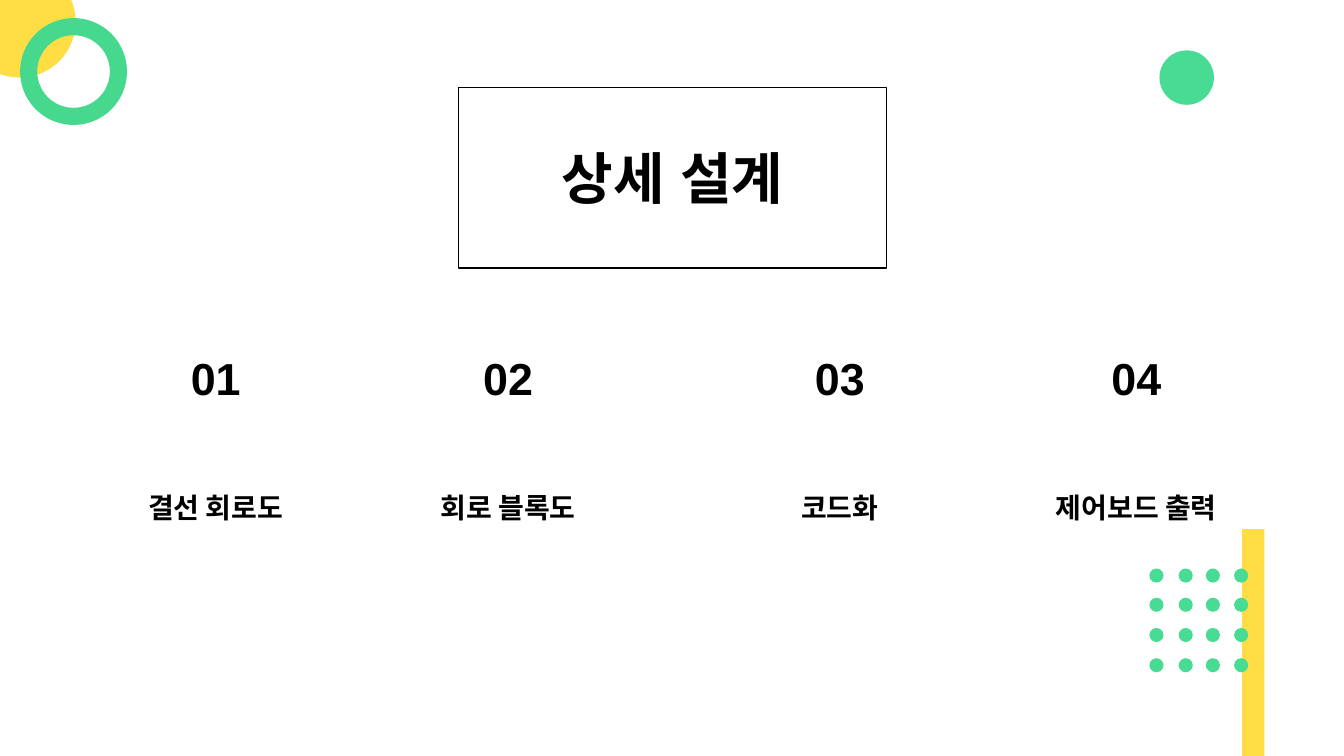
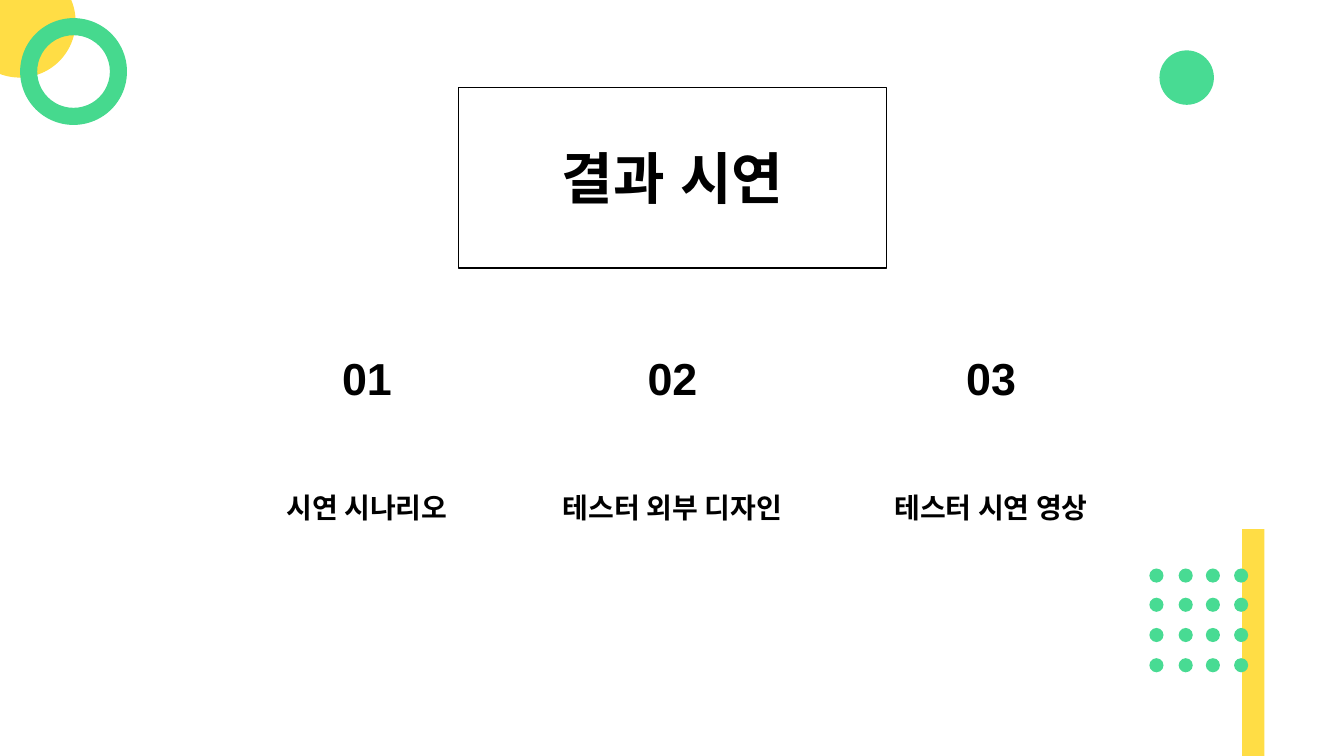
from dataclasses import dataclass
from itertools import product

from lxml import etree
from pptx import Presentation
from pptx.dml.color import RGBColor
from pptx.enum.shapes import MSO_SHAPE
from pptx.enum.text import MSO_ANCHOR, MSO_AUTO_SIZE, PP_ALIGN
from pptx.oxml.ns import qn
from pptx.shapes.autoshape import Shape
from pptx.slide import Slide
from pptx.util import Inches, Pt

RECTANGLE = MSO_SHAPE.RECTANGLE
OVAL = MSO_SHAPE.OVAL
DONUT = MSO_SHAPE.DONUT
TOP = MSO_ANCHOR.TOP
NO_AUTOFIT = MSO_AUTO_SIZE.NONE
CENTER = PP_ALIGN.CENTER


@dataclass(frozen=True)
class Theme:
    ink: RGBColor = RGBColor(0x00, 0x00, 0x00)
    yellow: RGBColor = RGBColor(0xFF, 0xDD, 0x45)
    green: RGBColor = RGBColor(0x48, 0xDB, 0x93)
    ring_green: RGBColor = RGBColor(0x46, 0xD9, 0x8E)
    latin_font: str = "Arial"
    korean_font: str = "Noto Sans CJK KR"
    title_size: int = 40
    number_size: int = 32
    label_size: int = 20


@dataclass(frozen=True)
class Area:
    left: float
    top: float
    width: float
    height: float


@dataclass(frozen=True)
class Decoration:
    preset: MSO_SHAPE
    area: Area
    color: RGBColor


@dataclass(frozen=True)
class Topic:
    center: float
    label: str
    label_width: float = 2.43


@dataclass(frozen=True)
class Section:
    title: str
    topics: tuple[Topic, ...]


THEME = Theme()
TITLE_AREA = Area(4.33, 1.37, 4.68, 1.49)
FRAME_AREA = Area(4.55, 0.87, 4.24, 1.79)
NUMBER_TOP, NUMBER_WIDTH, NUMBER_HEIGHT = 3.43, 0.83, 0.64
LABEL_TOP, LABEL_HEIGHT = 4.77, 0.54
DOT_COLUMNS = (11.4, 11.69, 11.96, 12.24)
DOT_ROWS = (5.64, 5.93, 6.23, 6.53)
DOT_SIZE = 0.14
RING_THICKNESS = 0.16

DECORATIONS = (
    Decoration(RECTANGLE, Area(12.32, 5.25, 0.22, 2.25), THEME.yellow),
    Decoration(OVAL, Area(-0.36, -0.34, 1.11, 1.11), THEME.yellow),
    Decoration(OVAL, Area(11.5, 0.5, 0.54, 0.54), THEME.green),
    *(
        Decoration(OVAL, Area(left, top, DOT_SIZE, DOT_SIZE), THEME.green)
        for top, left in product(DOT_ROWS, DOT_COLUMNS)
    ),
    Decoration(DONUT, Area(0.2, 0.18, 1.06, 1.06), THEME.ring_green),
)

SECTIONS = (
    Section("상세 설계", (
        Topic(2.14, "결선 회로도"),
        Topic(5.04, "회로 블록도"),
        Topic(8.33, "코드화"),
        Topic(11.27, "제어보드 출력"),
    )),
    Section("결과 시연", (
        Topic(3.64, "시연 시나리오"),
        Topic(6.67, "테스터 외부 디자인", 2.63),
        Topic(9.83, "테스터 시연 영상"),
    )),
)


def edges(area: Area) -> tuple[Inches, Inches, Inches, Inches]:
    return Inches(area.left), Inches(area.top), Inches(area.width), Inches(area.height)


def add_plain_shape(page: Slide, preset: MSO_SHAPE, area: Area) -> Shape:
    shape = page.shapes.add_shape(preset, *edges(area))
    shape.shadow.inherit = False
    return shape


def add_decoration(page: Slide, decoration: Decoration) -> None:
    shape = add_plain_shape(page, decoration.preset, decoration.area)
    shape.fill.solid()
    shape.fill.fore_color.rgb = decoration.color
    shape.line.fill.background()
    if decoration.preset == DONUT:
        shape.adjustments[0] = RING_THICKNESS


def add_frame(page: Slide) -> None:
    frame = add_plain_shape(page, RECTANGLE, FRAME_AREA)
    frame.fill.background()
    frame.line.color.rgb = THEME.ink
    frame.line.width = Pt(1)


def write_text(box: Shape, text: str, size: int, font: str, inset: float = 0.05) -> None:
    frame_format = {
        "word_wrap": True,
        "auto_size": NO_AUTOFIT,
        "vertical_anchor": TOP,
        "margin_left": Inches(0.1),
        "margin_right": Inches(0.1),
        "margin_top": Inches(inset),
        "margin_bottom": Inches(inset),
    }
    for name, value in frame_format.items():
        setattr(box.text_frame, name, value)
    para = box.text_frame.paragraphs[0]
    para.alignment = CENTER
    span = para.add_run()
    span.text = text
    for name, value in {"name": font, "size": Pt(size), "bold": True}.items():
        setattr(span.font, name, value)
    span.font.color.rgb = THEME.ink
    east_asian = etree.SubElement(span.font._element, qn("a:ea"))
    east_asian.set("typeface", font)


def add_title(page: Slide, title: str) -> None:
    box = page.shapes.title
    box.left, box.top, box.width, box.height = edges(TITLE_AREA)
    write_text(box, title, THEME.title_size, THEME.latin_font)


def add_topic(page: Slide, number: int, topic: Topic) -> None:
    number_area = Area(topic.center - NUMBER_WIDTH / 2, NUMBER_TOP, NUMBER_WIDTH, NUMBER_HEIGHT)
    number_box = page.shapes.add_textbox(*edges(number_area))
    write_text(number_box, f"{number:02}", THEME.number_size, THEME.latin_font)
    label_area = Area(topic.center - topic.label_width / 2, LABEL_TOP, topic.label_width, LABEL_HEIGHT)
    label_box = page.shapes.add_textbox(*edges(label_area))
    write_text(label_box, topic.label, THEME.label_size, THEME.korean_font, inset=0.1)


def main() -> None:
    deck = Presentation()
    deck.slide_width, deck.slide_height = Inches(13.33), Inches(7.5)
    title_only = deck.slide_layouts[5]
    for section in SECTIONS:
        page = deck.slides.add_slide(title_only)
        for decoration in DECORATIONS:
            add_decoration(page, decoration)
        add_title(page, section.title)
        for number, topic in enumerate(section.topics, start=1):
            add_topic(page, number, topic)
        add_frame(page)
    deck.save("out.pptx")


if __name__ == "__main__":
    main()
